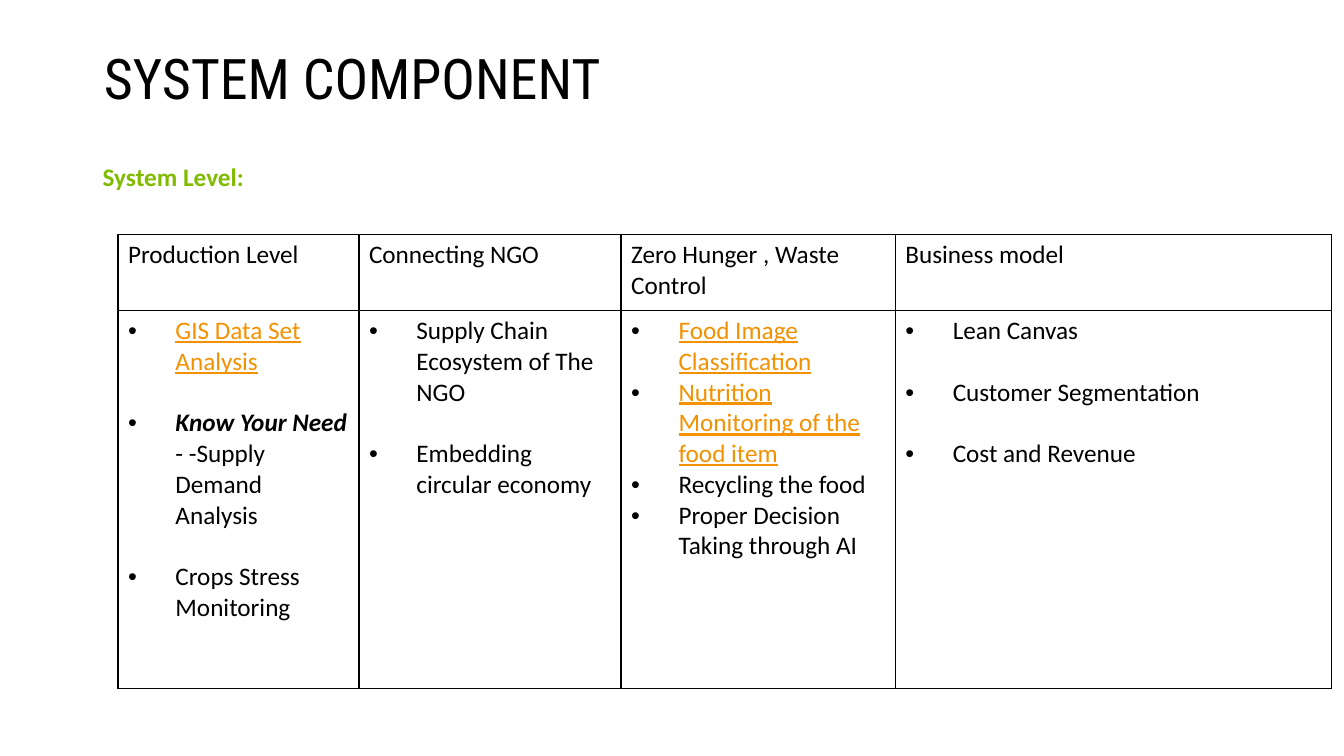
"""Build the system component slide with its table of levels."""
from dataclasses import dataclass

from lxml import etree
from pptx import Presentation
from pptx.dml.color import RGBColor
from pptx.enum.text import MSO_ANCHOR, MSO_AUTO_SIZE, PP_ALIGN
from pptx.oxml.ns import qn
from pptx.util import Emu, Pt

MIDDLE = MSO_ANCHOR.MIDDLE
NO_AUTOFIT = MSO_AUTO_SIZE.NONE
LEFT = PP_ALIGN.LEFT

BLACK = RGBColor(0x00, 0x00, 0x00)
GREEN = RGBColor(0x81, 0xBB, 0x00)
ORANGE = RGBColor(0xF4, 0x91, 0x00)
BODY_FONT = "Calibri"
TITLE_FONT = "Roboto Condensed"
BODY_SIZE = 18
ITEM_GAP = Pt(22)
TITLE_LAYOUT = 5
ROW_HEIGHTS = (75, 375)


@dataclass(frozen=True)
class Item:
    """One bullet, with an optional strong lead."""

    text: str
    lead: str = ""
    linked: bool = False


@dataclass(frozen=True)
class Level:
    """One table column: heading, width in px and bullets."""

    heading: str
    width: int
    items: tuple[Item, ...]
    spaced: bool = True


LEVELS = (
    Level("Production Level", 239, (
        Item("GIS Data Set Analysis", linked=True),
        Item(" - -Supply Demand Analysis", lead="Know Your Need"),
        Item("Crops Stress Monitoring"),
    )),
    Level("Connecting NGO", 260, (
        Item("Supply Chain Ecosystem of The NGO"),
        Item("Embedding circular economy"),
    )),
    Level("Zero Hunger , Waste Control", 272, (
        Item("Food Image Classification", linked=True),
        Item("Nutrition Monitoring of the food item", linked=True),
        Item("Recycling the food"),
        Item("Proper Decision Taking through AI"),
    ), spaced=False),
    Level("Business model", 433, (
        Item("Lean Canvas"),
        Item("Customer Segmentation"),
        Item("Cost and Revenue"),
    )),
)


def px(length: int) -> Emu:
    """Turn px, at 100 to the inch, into EMU."""
    return Emu(length * 9144)


def style(para, color: RGBColor, size: int = BODY_SIZE, name: str = BODY_FONT) -> None:
    """Set the font of a whole paragraph."""
    para.font.name = name
    para.font.size = Pt(size)
    para.font.color.rgb = color


def add_color(parent, tag: str, color: RGBColor) -> None:
    """Add an element that holds a plain colour."""
    holder = etree.SubElement(parent, qn(tag))
    etree.SubElement(holder, qn("a:srgbClr"), val=str(color))


def add_bullet(para) -> None:
    """Give a paragraph a black bullet and a hanging indent."""
    props = para._p.get_or_add_pPr()
    props.set("marL", str(px(47)))
    props.set("indent", str(px(-47)))
    add_color(props, "a:buClr", BLACK)
    etree.SubElement(props, qn("a:buFont"), typeface="Arial")
    etree.SubElement(props, qn("a:buChar"), char="•")


def format_cell(cell) -> None:
    """Clear the fill of a cell and draw its four black borders."""
    cell.fill.background()
    props = cell._tc.get_or_add_tcPr()
    for index, side in enumerate(("L", "R", "T", "B")):
        border = etree.Element(qn(f"a:ln{side}"), w=str(Pt(1)))
        add_color(border, "a:solidFill", BLACK)
        props.insert(index, border)


def write_items(frame, level: Level) -> None:
    """Write the bullets of a level into a cell."""
    for index, item in enumerate(level.items):
        para = frame.add_paragraph() if index else frame.paragraphs[0]
        if index and level.spaced:
            para.space_before = ITEM_GAP
        add_bullet(para)
        style(para, ORANGE if item.linked else BLACK)
        if item.linked:
            para.font.underline = True
        if item.lead:
            lead = para.add_run()
            lead.text = item.lead
            lead.font.bold = True
            lead.font.italic = True
        para.add_run().text = item.text


def add_title(page) -> None:
    """Fill and format the title placeholder."""
    box = page.shapes.title
    box.left, box.top, box.width, box.height = map(px, (93, 38, 621, 77))
    frame = box.text_frame
    frame.text = "SYSTEM COMPONENT"
    frame.auto_size = NO_AUTOFIT
    frame.vertical_anchor = MIDDLE
    para = frame.paragraphs[0]
    para.alignment = LEFT
    style(para, BLACK, 40, TITLE_FONT)


def add_subtitle(page) -> None:
    """Add the green line above the table."""
    box = page.shapes.add_textbox(*map(px, (92, 117, 1228, 119)))
    frame = box.text_frame
    frame.word_wrap = True
    frame.vertical_anchor = MIDDLE
    para = frame.paragraphs[0]
    para.text = "System Level:"
    para.line_spacing = 0.9
    style(para, GREEN)
    para.font.bold = True


def add_level_table(page) -> None:
    """Add the table with one column for each level."""
    width = sum(level.width for level in LEVELS)
    table = page.shapes.add_table(
        len(ROW_HEIGHTS), len(LEVELS), px(117), px(233), px(width), px(sum(ROW_HEIGHTS))
    ).table
    table.first_row = False
    table.horz_banding = False
    for row, height in zip(table.rows, ROW_HEIGHTS):
        row.height = px(height)
    for index, level in enumerate(LEVELS):
        table.columns[index].width = px(level.width)
        heading, body = table.cell(0, index), table.cell(1, index)
        heading.text = level.heading
        style(heading.text_frame.paragraphs[0], BLACK)
        write_items(body.text_frame, level)
        format_cell(heading)
        format_cell(body)


def main() -> None:
    """Build and save the deck."""
    deck = Presentation()
    deck.slide_width, deck.slide_height = px(1333), px(750)
    page = deck.slides.add_slide(deck.slide_layouts[TITLE_LAYOUT])
    add_title(page)
    add_subtitle(page)
    add_level_table(page)
    deck.save("out.pptx")


if __name__ == "__main__":
    main()
